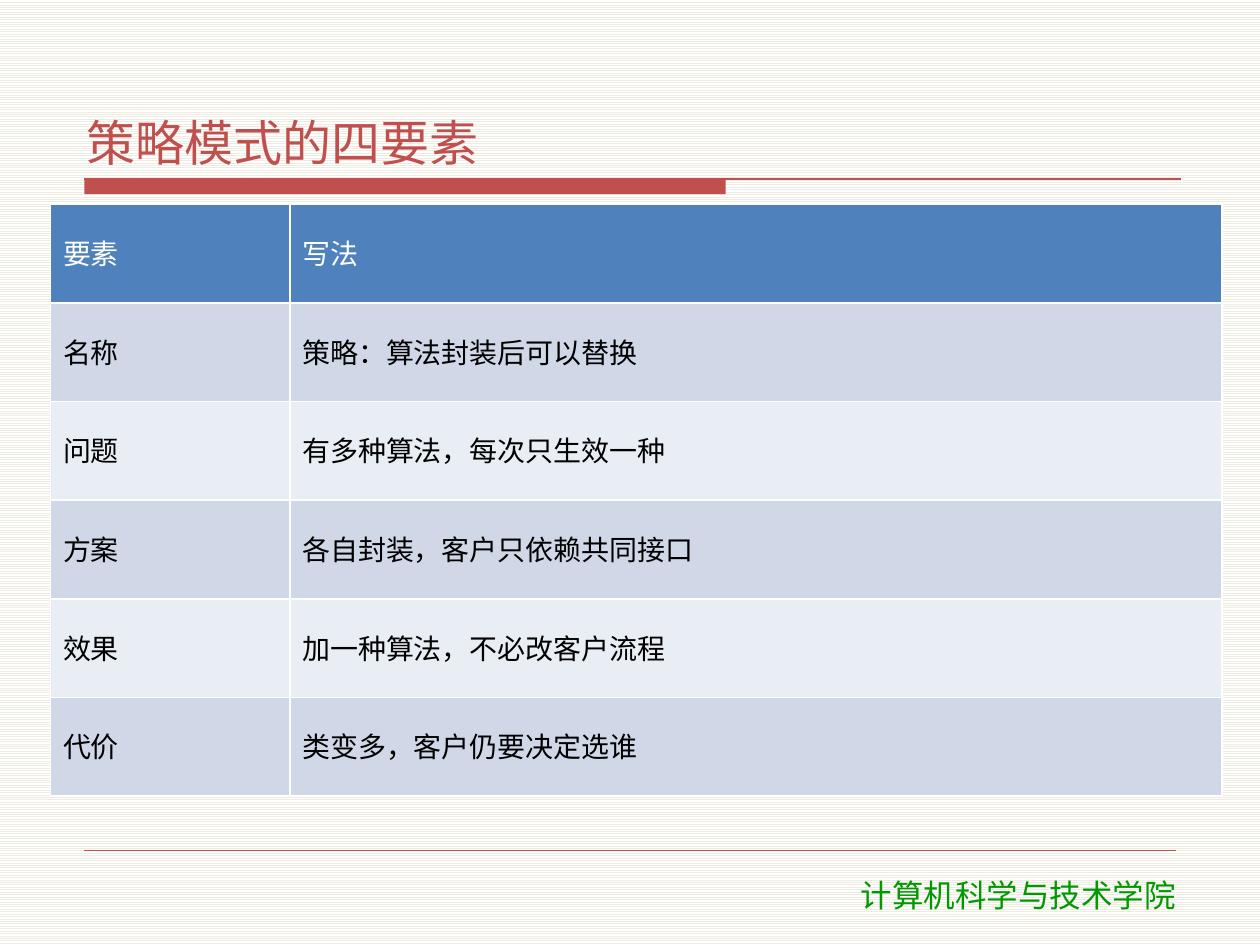
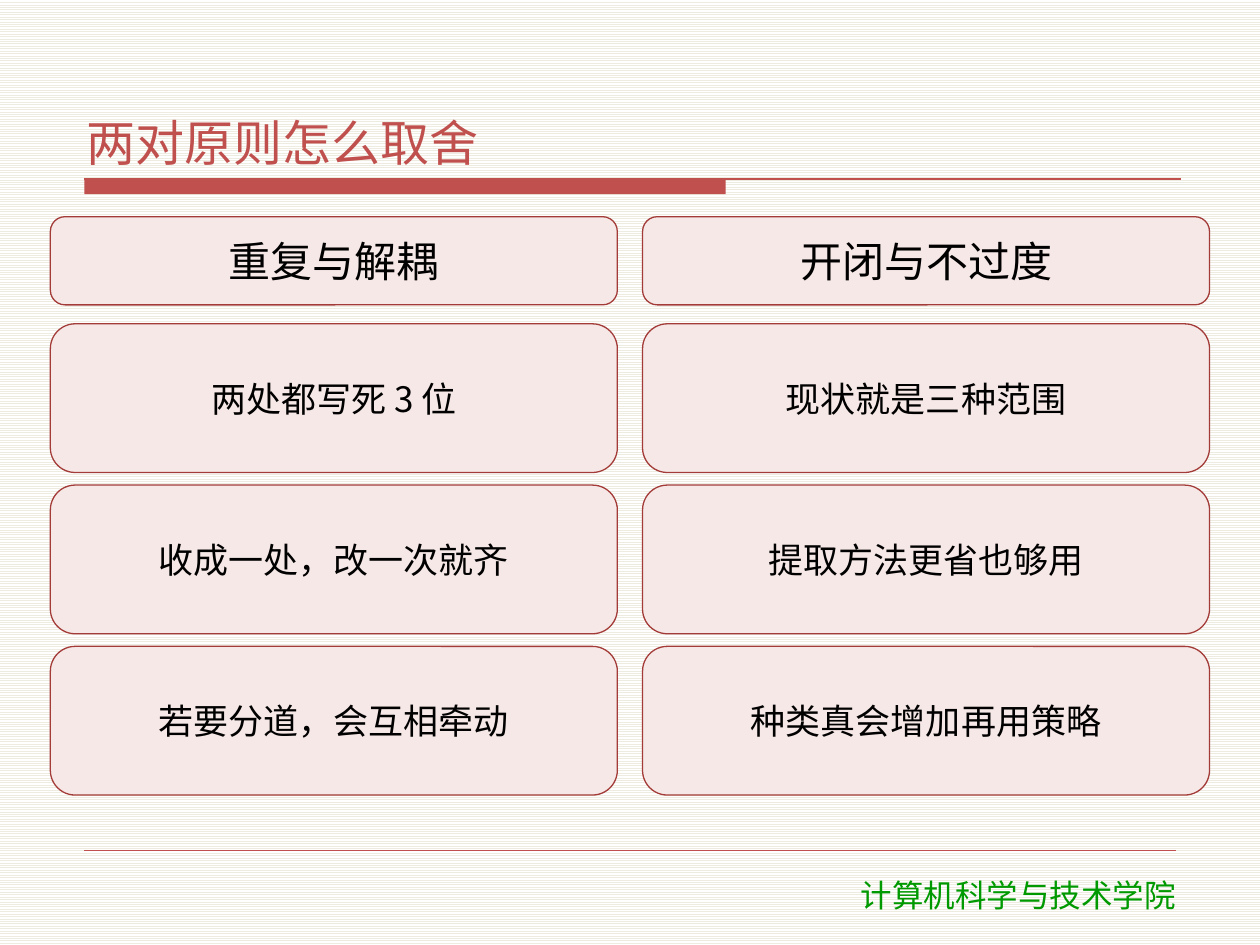
from lxml.etree import SubElement
from pptx import Presentation
from pptx.dml.color import RGBColor
from pptx.enum.dml import MSO_PATTERN
from pptx.enum.shapes import MSO_CONNECTOR, MSO_SHAPE
from pptx.enum.text import MSO_ANCHOR, MSO_AUTO_SIZE, PP_ALIGN
from pptx.oxml import parse_xml
from pptx.oxml.ns import nsdecls, qn
from pptx.util import Inches, Pt

RED = RGBColor(0xC0, 0x50, 0x4D)
DARK_RED = RGBColor(0xA3, 0x3B, 0x38)
PINK = RGBColor(0xF6, 0xE8, 0xE6)
GREEN = RGBColor(0x00, 0x99, 0x00)
BLUE = RGBColor(0x4F, 0x81, 0xBD)
BANDS = (RGBColor(0xD0, 0xD8, 0xE8), RGBColor(0xE9, 0xED, 0xF4))
IVORY = RGBColor(0xEE, 0xEC, 0xE1)
WHITE = RGBColor(0xFF, 0xFF, 0xFF)
BLACK = RGBColor(0x00, 0x00, 0x00)
FONT = "Noto Sans CJK SC"
FOOTER_FONT = "DejaVu Sans"

ELEMENTS = [
    ("要素", "写法"),
    ("名称", "策略：算法封装后可以替换"),
    ("问题", "有多种算法，每次只生效一种"),
    ("方案", "各自封装，客户只依赖共同接口"),
    ("效果", "加一种算法，不必改客户流程"),
    ("代价", "类变多，客户仍要决定选谁"),
]
TRADEOFFS = [
    ("重复与解耦", ["两处都写死 3 位", "收成一处，改一次就齐", "若要分道，会互相牵动"]),
    ("开闭与不过度", ["现状就是三种范围", "提取方法更省也够用", "种类真会增加再用策略"]),
]


def set_text(tf, text, size, color=BLACK, font=FONT, align=PP_ALIGN.LEFT,
             line_spacing=None, after=None):
    tf.word_wrap = True
    p = tf.paragraphs[0]
    p.alignment = align
    p.space_before = Pt(0)
    if after is not None:
        p.space_after = Pt(after)
    if line_spacing:
        p.line_spacing = line_spacing
    r = p.add_run()
    r.text = text
    r.font.size = Pt(size)
    r.font.bold = False
    r.font.color.rgb = color
    r.font.name = font
    SubElement(r.font._element, qn("a:ea")).set("typeface", FONT)


def set_insets(tf):
    tf.margin_left = tf.margin_right = Inches(0.06)
    tf.margin_top = tf.margin_bottom = Inches(0.02)


def add_rule(s, x1, x2, y, width):
    line = s.shapes.add_connector(MSO_CONNECTOR.STRAIGHT, Inches(x1), Inches(y),
                                  Inches(x2), Inches(y))
    line.line.color.rgb = RED
    line.line.width = Pt(width)
    SubElement(line._element.spPr, qn("a:effectLst"))


def add_box(s, preset, x, y, w, h, fill, outline=None):
    sp = s.shapes.add_shape(preset, Inches(x), Inches(y), Inches(w), Inches(h))
    sp.shadow.inherit = False
    sp.fill.solid()
    sp.fill.fore_color.rgb = fill
    if outline is None:
        sp.line.fill.background()
    else:
        sp.line.color.rgb = outline
        sp.line.width = Pt(0.75)
    return sp


def add_card(s, x, y, w, h, text, size):
    sp = add_box(s, MSO_SHAPE.ROUNDED_RECTANGLE, x, y, w, h, PINK, DARK_RED)
    tf = sp.text_frame
    tf.vertical_anchor = MSO_ANCHOR.MIDDLE
    set_insets(tf)
    set_text(tf, text, size, align=PP_ALIGN.CENTER, after=2)


def add_slide(prs, title):
    s = prs.slides.add_slide(prs.slide_layouts[5])
    bg = s.background.fill
    bg.patterned()
    bg.pattern = MSO_PATTERN.LIGHT_HORIZONTAL
    bg.fore_color.rgb = IVORY
    bg.back_color.rgb = WHITE

    add_box(s, MSO_SHAPE.RECTANGLE, 0.67, 1.42, 5.09, 0.12, RED)
    add_rule(s, 0.67, 9.37, 1.42, 0.75)
    add_rule(s, 0.67, 9.33, 6.75, 0.25)
    footer = s.shapes.add_textbox(Inches(6.07), Inches(6.9), Inches(4.02), Inches(0.4))
    set_text(footer.text_frame, "计算机科学与技术学院", 18, GREEN, FOOTER_FONT,
             PP_ALIGN.CENTER)

    sp = s.shapes.title
    sp.left, sp.top, sp.width, sp.height = map(Inches, (0.63, 0.33, 8.75, 1.05))
    tf = sp.text_frame
    tf.auto_size = MSO_AUTO_SIZE.NONE
    tf.vertical_anchor = MSO_ANCHOR.BOTTOM
    set_insets(tf)
    set_text(tf, title, 28, RED, after=2)
    return s


def set_borders(cell):
    tc_pr = cell._tc.get_or_add_tcPr()
    for side in "LRTB":
        tc_pr.append(parse_xml(
            f'<a:ln{side} {nsdecls("a")} w="{Pt(1)}"><a:solidFill>'
            f'<a:srgbClr val="{WHITE}"/></a:solidFill></a:ln{side}>'))


def add_elements_table(s, rows, x, y, col_widths, height):
    frame = s.shapes.add_table(len(rows), len(col_widths), Inches(x), Inches(y),
                               Inches(sum(col_widths)), Inches(height))
    table = frame.table
    for col, width in zip(table.columns, col_widths):
        col.width = Inches(width)
    for i, row in enumerate(rows):
        for j, text in enumerate(row):
            cell = table.cell(i, j)
            cell.vertical_anchor = MSO_ANCHOR.MIDDLE
            set_borders(cell)
            cell.fill.solid()
            cell.fill.fore_color.rgb = BANDS[(i - 1) % 2] if i else BLUE
            set_text(cell.text_frame, text, 16, BLACK if i else WHITE,
                     line_spacing=0.9, after=2)


def add_tradeoff_columns(s, columns):
    for i, (heading, points) in enumerate(columns):
        x = 0.4 + i * 4.7
        add_card(s, x, 1.72, 4.5, 0.7, heading, 24)
        for j, point in enumerate(points):
            add_card(s, x, 2.57 + j * 1.28, 4.5, 1.18, point, 20)


def main():
    prs = Presentation()
    prs.slide_width, prs.slide_height = Inches(10), Inches(7.5)
    s = add_slide(prs, "策略模式的四要素")
    add_elements_table(s, ELEMENTS, 0.4, 1.62, (1.9, 7.4), 4.7)
    s = add_slide(prs, "两对原则怎么取舍")
    add_tradeoff_columns(s, TRADEOFFS)
    prs.save("out.pptx")


if __name__ == "__main__":
    main()
